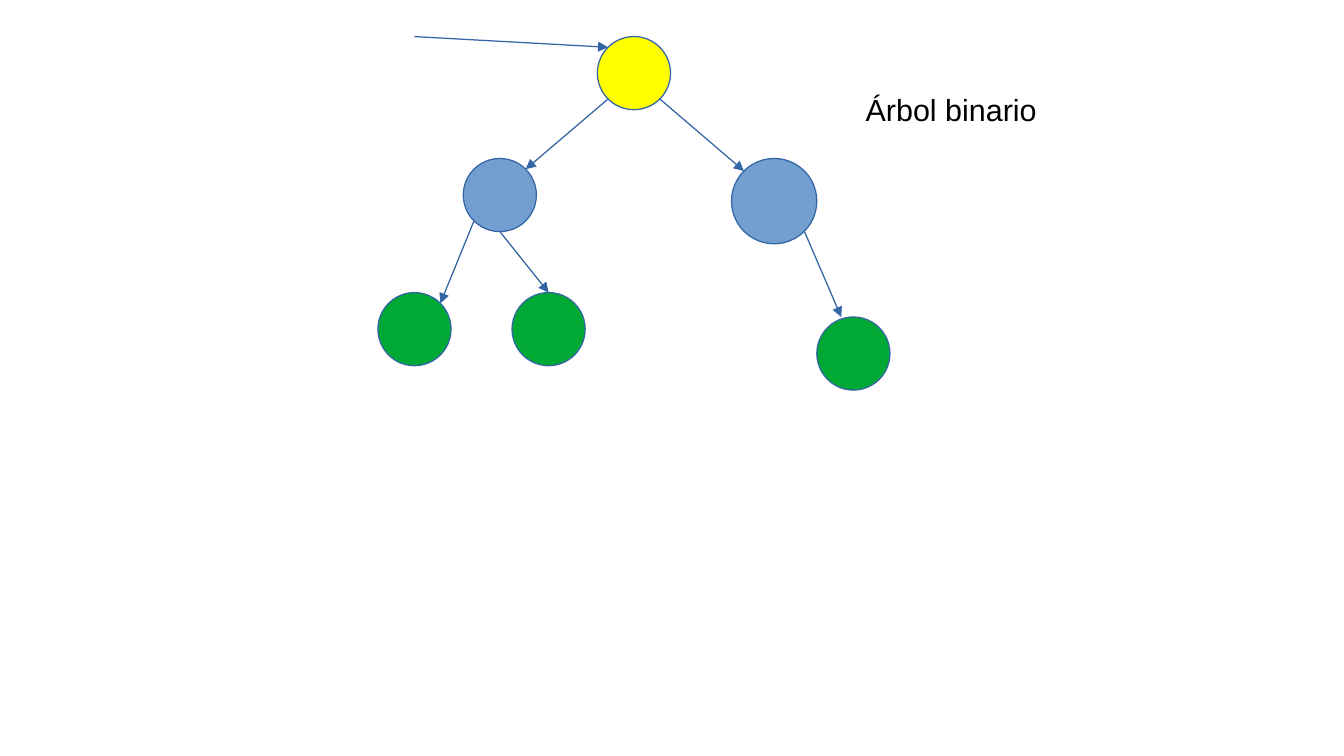
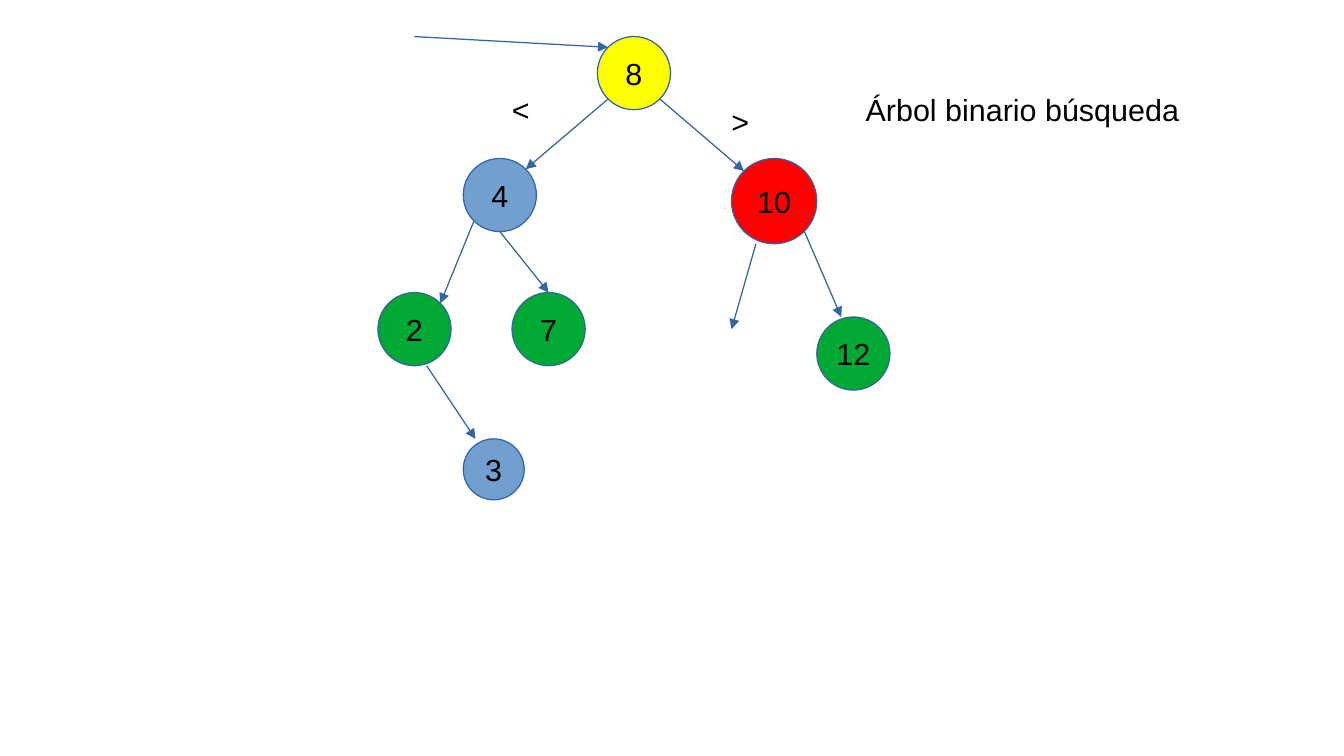
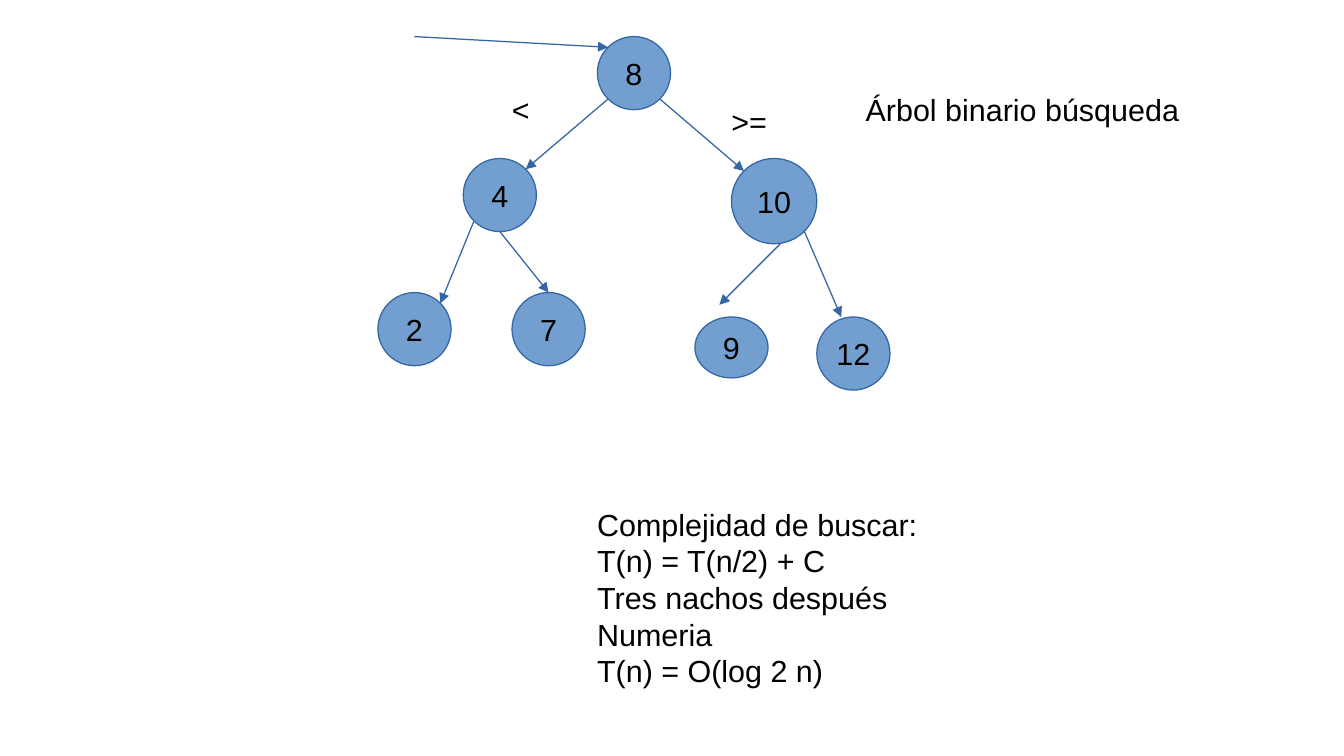
"""Three slides that build up a binary search tree."""
import math
from dataclasses import dataclass

import pptx
import pptx.dml.color
import pptx.enum.shapes
import pptx.enum.text
import pptx.util
from lxml import etree
from pptx.oxml.ns import qn

Point = tuple[float, float]

FONT, SIZE = "Arial", 18
BLACK, LINE = "000000", "3465A4"
YELLOW, BLUE, GREEN, RED = "FFFF00", "729FCF", "00A933", "FF0000"
LEFT, CENTER = pptx.enum.text.PP_ALIGN.LEFT, pptx.enum.text.PP_ALIGN.CENTER
TOP, MIDDLE = pptx.enum.text.MSO_ANCHOR.TOP, pptx.enum.text.MSO_ANCHOR.MIDDLE
TITLE_ONLY = 5


@dataclass(frozen=True)
class Node:
    key: str
    x: float
    y: float
    w: float = 6
    h: float = 6

    def site(self, degrees: float) -> Point:
        a = math.radians(degrees)
        return (self.x + self.w / 2 * (1 + math.cos(a)),
                self.y + self.h / 2 * (1 + math.sin(a)))


@dataclass(frozen=True)
class Arrow:
    start: Point
    end: Point


@dataclass(frozen=True)
class Label:
    text: str
    x: float
    y: float
    w: float
    h: float = 4


@dataclass(frozen=True)
class TreeSlide:
    title: Label
    fills: dict[str, str]
    show_keys: bool
    nodes: tuple[Node, ...] = ()
    arrows: tuple[Arrow, ...] = ()
    labels: tuple[Label, ...] = ()


def grid(n: float) -> int:
    return pptx.util.Cm(n * 0.254)


def rgb(value: str) -> pptx.dml.color.RGBColor:
    return pptx.dml.color.RGBColor.from_string(value)


def write(sp, text: str, *, align=LEFT, anchor=TOP, wrap: bool = True,
          color: str = BLACK, size: float = SIZE) -> None:
    tf = sp.text_frame
    tf.text = text
    tf.word_wrap = wrap
    tf.auto_size = pptx.enum.text.MSO_AUTO_SIZE.NONE
    tf.vertical_anchor = anchor
    for p in tf.paragraphs:
        p.alignment = align
        for r in p.runs:
            r.font.name = FONT
            r.font.size = pptx.util.Pt(size)
            r.font.color.rgb = rgb(color)


def set_line(sp) -> None:
    sp.line.color.rgb = rgb(LINE)
    sp.line.width = pptx.util.Pt(0.75)


def draw_node(s, node: Node, fill: str, show_key: bool) -> None:
    sp = s.shapes.add_shape(pptx.enum.shapes.MSO_SHAPE.OVAL,
                            *map(grid, (node.x, node.y, node.w, node.h)))
    sp.shadow.inherit = False
    sp.fill.solid()
    sp.fill.fore_color.rgb = rgb(fill)
    set_line(sp)
    if show_key:
        write(sp, node.key, align=CENTER, anchor=MIDDLE, wrap=False)


def draw_arrow(s, arrow: Arrow) -> None:
    sp = s.shapes.add_connector(pptx.enum.shapes.MSO_CONNECTOR.STRAIGHT,
                                *map(grid, arrow.start + arrow.end))
    set_line(sp)
    etree.SubElement(sp.line._get_or_add_ln(), qn("a:tailEnd"), type="triangle")
    etree.SubElement(sp._element.spPr, qn("a:effectLst"))


def draw_label(s, label: Label) -> None:
    sp = s.shapes.add_textbox(*map(grid, (label.x, label.y, label.w, label.h)))
    write(sp, label.text)


def draw_title(s, title: Label) -> None:
    sp = s.shapes.title
    sp.left, sp.top, sp.width, sp.height = map(
        grid, (title.x, title.y, title.w, title.h))
    write(sp, title.text)


def draw_slide(prs, tree: TreeSlide) -> None:
    s = prs.slides.add_slide(prs.slide_layouts[TITLE_ONLY])
    draw_title(s, tree.title)
    for node in BASE_NODES + tree.nodes:
        draw_node(s, node, tree.fills.get(node.key, BLUE), tree.show_keys)
    for arrow in BASE_ARROWS + tree.arrows:
        draw_arrow(s, arrow)
    for label in tree.labels:
        draw_label(s, label)


ROOT = Node("8", 49, 3)
FOUR = Node("4", 38, 13)
TEN = Node("10", 60, 13, 7, 7)
TWO = Node("2", 31, 24)
SEVEN = Node("7", 42, 24)
TWELVE = Node("12", 67, 26)
BASE_NODES = (ROOT, FOUR, TEN, TWO, SEVEN, TWELVE)
BASE_ARROWS = (
    Arrow((34, 3), ROOT.site(225)),
    Arrow(ROOT.site(135), FOUR.site(315)),
    Arrow(ROOT.site(45), TEN.site(225)),
    Arrow(FOUR.site(135), TWO.site(315)),
    Arrow(FOUR.site(90), SEVEN.site(270)),
    Arrow(TEN.site(45), (69, 26)),
)
LEVEL_FILLS = {"8": YELLOW, "2": GREEN, "7": GREEN, "12": GREEN}
SEARCH_TITLE = Label("Árbol binario búsqueda", 70, 7, 37)
LESS = Label("<", 41, 7, 7)
COMPLEXITY = Label(
    "Complejidad de buscar:\vT(n) = T(n/2) + C\n"
    "Tres nachos después Numeria\vT(n) = O(log 2 n)", 48, 41, 33, 16)

SLIDES = (
    TreeSlide(Label("Árbol binario", 70, 7, 23), LEVEL_FILLS, False),
    TreeSlide(SEARCH_TITLE, LEVEL_FILLS | {"10": RED}, True,
              nodes=(Node("3", 38, 36, 5, 5),),
              arrows=(Arrow((62, 20), (60, 27)), Arrow((35, 30), (39, 36))),
              labels=(LESS, Label(">", 59, 8, 7))),
    TreeSlide(SEARCH_TITLE, {}, True,
              nodes=(Node("9", 57, 26, 6, 5),),
              arrows=(Arrow((64, 20), (59, 25)),),
              labels=(LESS, Label(">=", 59, 8, 7), COMPLEXITY)),
)


def main() -> None:
    prs = pptx.Presentation()
    prs.slide_width, prs.slide_height = pptx.util.Cm(28), pptx.util.Cm(15.75)
    for tree in SLIDES:
        draw_slide(prs, tree)
    prs.save("out.pptx")


main()
